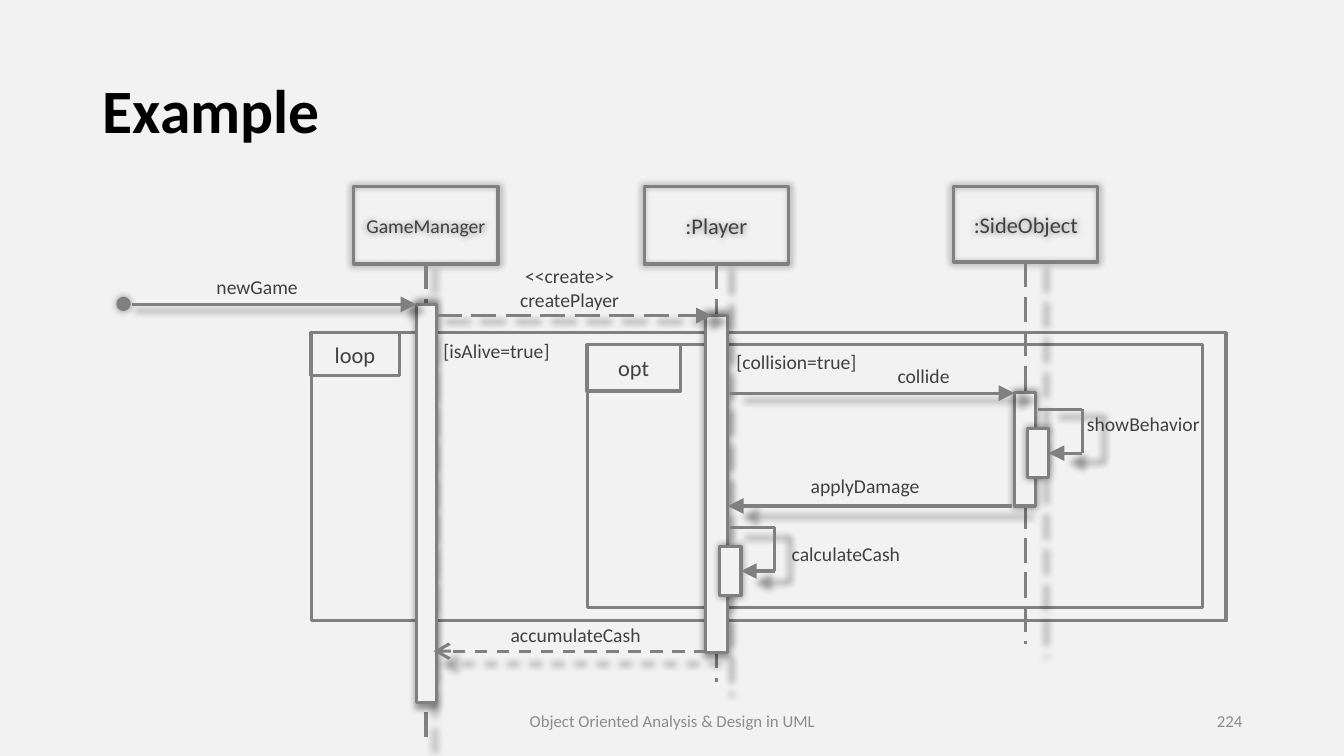
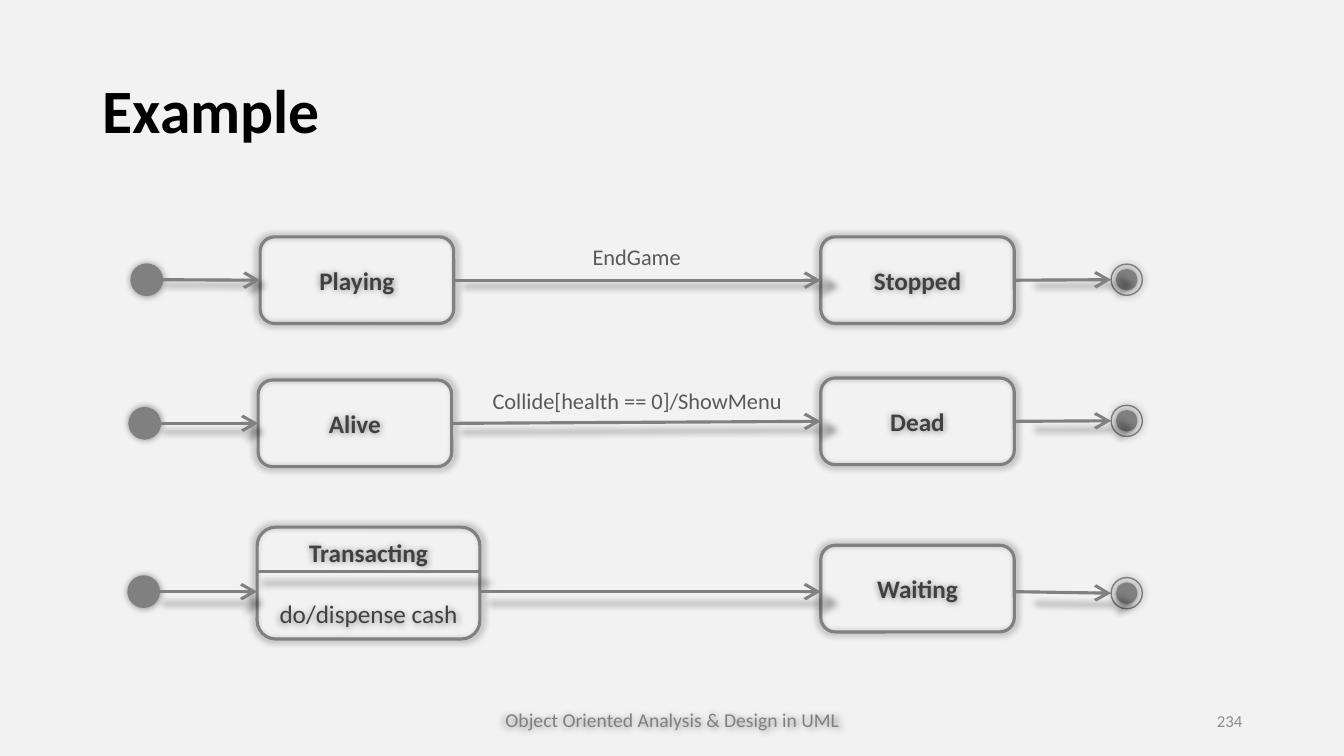
import dataclasses
import typing

import lxml.etree
import pptx
import pptx.dml.color
import pptx.enum.dml
import pptx.enum.shapes
import pptx.enum.text
import pptx.oxml.ns
import pptx.util

WIDE, HIGH, CELL = 13.33, 7.5, 0.1
PAPER, GREY, DARK, MID, PALE, BLACK = (
    "F2F2F2", "808080", "404040", "595959", "8C8C8C", "000000")
FONT = "Calibri"
COURSE = "Object Oriented Analysis & Design in UML"
Kind = pptx.enum.shapes.MSO_SHAPE
Side = pptx.enum.text.PP_ALIGN
Hold = pptx.enum.text.MSO_ANCHOR
Dash = pptx.enum.dml.MSO_LINE
TOP, LEFT, BOTTOM, RIGHT = range(4)
STATE_W, STATE_H, GOAL_X, END_X, DOT = 19.2, 8.6, 81.4, 110.2, 3.1


class Spot(typing.NamedTuple):
    x: float
    y: float
    w: float
    h: float


class Run(typing.NamedTuple):
    text: str
    size: float
    tint: str = DARK
    bold: bool = False


class Joint(typing.NamedTuple):
    shape: typing.Any
    side: int


@dataclasses.dataclass
class Label:
    spot: Spot
    lines: tuple[str, ...]


@dataclasses.dataclass
class Role:
    name: str
    size: float
    head: Spot
    foot: float
    bar: Spot


@dataclasses.dataclass
class Message:
    start: tuple[float, float]
    stop: tuple[float, float]
    tip: str = "triangle"
    dash: typing.Any = None


@dataclasses.dataclass
class Row:
    name: str
    state: Spot
    goal: str
    goal_y: float
    mid: float
    end: float
    joined: bool = True
    task: str = ""


FRAMES = [
    (Spot(58.3, 34.2, 61, 26.1), Spot(58.2, 34.2, 9.3, 4.6), "opt"),
    (Spot(30.9, 33, 90.7, 28.6), Spot(30.8, 33, 8.8, 4.3), "loop"),
]
ROLES = [
    Role(":Player", 16, Spot(63.9, 18.5, 14.3, 7.7), 67.7, Spot(70, 31.3, 2.2, 33.4)),
    Role(":SideObject", 16, Spot(94.6, 18.5, 14.3, 7.5), 63.9, Spot(100.6, 38.9, 2.1, 11.3)),
    Role("GameManager", 14, Spot(35.1, 18.5, 14.3, 7.7), 73.2, Spot(41.3, 30.2, 2, 39.5)),
]
CALLS = [
    Message((13.1, 30.2), (41.3, 30.2)),
    Message((43.3, 31.3), (70.6, 31.3), dash=Dash.LONG_DASH),
    Message((72.4, 39), (100.6, 39)),
    Message((100.4, 50.2), (72.2, 50.2)),
    Message((70.1, 64.6), (43, 64.6), "arrow", Dash.DASH),
]
NESTED = [Spot(101.9, 42.5, 2.1, 4.9), Spot(71.4, 54.2, 2.1, 4.9)]
LABELS = [
    Label(Spot(42.6, 33.1, 13.3, 3.4), ("[isAlive=true]",)),
    Label(Spot(70.6, 34.2, 16.8, 3.4), ("[collision=true]",)),
    Label(Spot(85, 35.6, 13.2, 3.4), ("collide",)),
    Label(Spot(79.2, 46.5, 13.2, 3.4), ("applyDamage",)),
    Label(Spot(106.3, 40.4, 14.2, 3.4), ("showBehavior",)),
    Label(Spot(76.8, 53.3, 14.2, 3.4), ("calculateCash",)),
    Label(Spot(18.9, 26.8, 13.2, 3.4), ("newGame",)),
    Label(Spot(49.9, 25.7, 13.2, 5.7), ("<<create>>", "createPlayer")),
    Label(Spot(49.4, 61.3, 15.4, 3.4), ("accumulateCash",)),
]
ROWS = [
    Row("Playing", Spot(25.8, 23.5, STATE_W, STATE_H), "Stopped", 23.5, 27.75, 27.75),
    Row("Alive", Spot(25.6, 37.7, STATE_W, STATE_H), "Dead", 37.5, 42, 41.75),
    Row("Transacting", Spot(25.5, 52.3, 22.1, 11.1), "Waiting", 54.1, 58.7, 58.85,
        False, "do/dispense cash"),
]
EVENTS = [
    Label(Spot(56.1, 23.6, 14.1, 3.7), ("EndGame",)),
    Label(Spot(45, 37.9, 36.4, 3.7), ("Collide[health == 0]/ShowMenu",)),
]


def grid(count: float) -> int:
    return pptx.util.Inches(count * CELL)


def paint(part: typing.Any, tint: str) -> None:
    part.rgb = pptx.dml.color.RGBColor.from_string(tint)


def tag(name: str) -> str:
    return pptx.oxml.ns.qn("a:" + name)


def cast(part: typing.Any) -> None:
    props = part.element.spPr
    effects = props.find(tag("effectLst"))
    if effects is None:
        effects = lxml.etree.SubElement(props, tag("effectLst"))
    shade = lxml.etree.SubElement(
        effects, tag("outerShdw"), blurRad="63500", sx="102000", sy="102000",
        algn="ctr", rotWithShape="0")
    tint = lxml.etree.SubElement(shade, tag("prstClr"), val="black")
    lxml.etree.SubElement(tint, tag("alpha"), val="40000")


def write(shape: typing.Any, lines: list[list[Run]], align: typing.Any = Side.CENTER,
          anchor: typing.Any = Hold.MIDDLE, gap: float = 0, pitch: float = 1) -> None:
    frame = shape.text_frame
    frame.word_wrap = True
    frame.vertical_anchor = anchor
    for rank, line in enumerate(lines):
        para = frame.add_paragraph() if rank else frame.paragraphs[0]
        para.alignment = align
        para.line_spacing = pitch
        if rank and gap:
            para.space_before = pptx.util.Pt(gap)
        for item in line:
            run = para.add_run()
            run.text = item.text
            run.font.name = FONT
            run.font.size = pptx.util.Pt(item.size)
            run.font.bold = item.bold
            paint(run.font.color, item.tint)


def note(slide: typing.Any, spot: Spot, lines: list[list[Run]], soft: bool = False,
         **style: typing.Any) -> None:
    shape = slide.shapes.add_textbox(*map(grid, spot))
    write(shape, lines, **style)
    if soft:
        cast(shape)


def draw(slide: typing.Any, kind: typing.Any, spot: Spot, fill: str = "",
         weight: float = 2.25, soft: bool = True) -> typing.Any:
    shape = slide.shapes.add_shape(kind, *map(grid, spot))
    shape.shadow.inherit = False
    if fill:
        shape.fill.solid()
        paint(shape.fill.fore_color, fill)
    else:
        shape.fill.background()
    paint(shape.line.color, GREY)
    shape.line.width = pptx.util.Pt(weight)
    if soft:
        cast(shape)
    return shape


def wire(slide: typing.Any, start: tuple[float, float], stop: tuple[float, float],
         tip: str = "", dash: typing.Any = None, source: Joint | None = None,
         target: Joint | None = None) -> None:
    link = slide.shapes.add_connector(
        pptx.enum.shapes.MSO_CONNECTOR.STRAIGHT, *map(grid, start + stop))
    if source:
        link.begin_connect(*source)
    if target:
        link.end_connect(*target)
    paint(link.line.color, GREY)
    link.line.width = pptx.util.Pt(2.25)
    if dash:
        link.line.dash_style = dash
    if tip:
        lxml.etree.SubElement(link.element.spPr.find(tag("ln")), tag("tailEnd"),
                              type=tip, w="lg", len="lg")
    cast(link)


def start_slide(deck: typing.Any, number: str, foot: Spot, course: Run,
                soft: bool = False) -> typing.Any:
    slide = deck.slides.add_slide(deck.slide_layouts[6])
    note(slide, Spot(9.2, 4, 115, 14.5), [[Run("Example", 44, BLACK, True)]],
         align=Side.LEFT, pitch=0.9)
    note(slide, foot, [[course]], soft)
    note(slide, Spot(94.2, 69.5, 30, 4), [[Run(number, 12, PALE)]], align=Side.RIGHT)
    return slide


def label(slide: typing.Any, item: Label, size: float, tint: str) -> None:
    note(slide, item.spot, [[Run(text, size, tint)] for text in item.lines],
         anchor=Hold.TOP)


def self_call(slide: typing.Any, spot: Spot) -> None:
    bar = draw(slide, Kind.RECTANGLE, spot, PAPER)
    near, far = spot.x + 1.05, spot.x + 5.45
    high, low = spot.y - 1.9, spot.y + spot.h / 2
    wire(slide, (near, high), (far, high))
    wire(slide, (far, high), (far, low))
    wire(slide, (far, low), (spot.x + spot.w, low), "triangle", target=Joint(bar, RIGHT))


def sequence(deck: typing.Any) -> None:
    slide = start_slide(deck, "224", Spot(44.2, 69.5, 45, 4), Run(COURSE, 12, PALE))
    for frame, tab, name in FRAMES:
        draw(slide, Kind.RECTANGLE, frame, soft=False)
        write(draw(slide, Kind.RECTANGLE, tab, soft=False), [[Run(name, 16)]])
    for role in ROLES:
        head = draw(slide, Kind.RECTANGLE, role.head)
        write(head, [[Run(role.name, role.size)]])
        mid = role.head.x + role.head.w / 2
        wire(slide, (mid, role.head.y + role.head.h), (mid, role.foot),
             dash=Dash.LONG_DASH, source=Joint(head, BOTTOM))
        draw(slide, Kind.RECTANGLE, role.bar, PAPER)
    draw(slide, Kind.OVAL, Spot(11.7, 29.6, 1.1, 1.1), GREY)
    for call in CALLS:
        wire(slide, call.start, call.stop, call.tip, call.dash)
    for spot in NESTED:
        self_call(slide, spot)
    for item in LABELS:
        label(slide, item, 14, DARK)


def chain(slide: typing.Any, row: Row) -> None:
    box, half = row.state, DOT / 2
    state = draw(slide, Kind.ROUNDED_RECTANGLE, box)
    title = [Run(row.name, 18, bold=True)]
    if row.task:
        write(state, [title, [Run(row.task, 18)]], anchor=Hold.TOP, gap=22)
        split = box.y + box.h * 0.4
        wire(slide, (box.x, split), (box.x + box.w, split))
    else:
        write(state, [title])
    goal = draw(slide, Kind.ROUNDED_RECTANGLE, Spot(GOAL_X, row.goal_y, STATE_W, STATE_H))
    write(goal, [[Run(row.goal, 18, bold=True)]])
    dot = box.x - 12.8
    draw(slide, Kind.OVAL, Spot(dot, row.mid - half, DOT, DOT), GREY, 1)
    draw(slide, Kind.OVAL, Spot(END_X, row.end - half, DOT, DOT), weight=1)
    draw(slide, Kind.OVAL, Spot(END_X + 0.55, row.end - 1, 2, 2), GREY, 1)

    def joint(shape: typing.Any, side: int) -> Joint | None:
        return Joint(shape, side) if row.joined else None

    wire(slide, (dot + DOT, row.mid), (box.x, row.mid), "arrow", target=joint(state, LEFT))
    wire(slide, (box.x + box.w, row.mid), (GOAL_X, row.mid), "arrow",
         source=joint(state, RIGHT), target=joint(goal, LEFT))
    wire(slide, (GOAL_X + STATE_W, row.mid), (END_X, row.end), "arrow",
         source=joint(goal, RIGHT))


def states(deck: typing.Any) -> None:
    slide = start_slide(deck, "234", Spot(45.6, 69.4, 42.2, 4), Run(COURSE, 14, GREY), True)
    for row in ROWS:
        chain(slide, row)
    for item in EVENTS:
        label(slide, item, 16, MID)


def main() -> None:
    deck = pptx.Presentation()
    deck.slide_width = pptx.util.Inches(WIDE)
    deck.slide_height = pptx.util.Inches(HIGH)
    back = deck.slide_master.background.fill
    back.solid()
    paint(back.fore_color, PAPER)
    sequence(deck)
    states(deck)
    deck.save("out.pptx")


if __name__ == "__main__":
    main()
